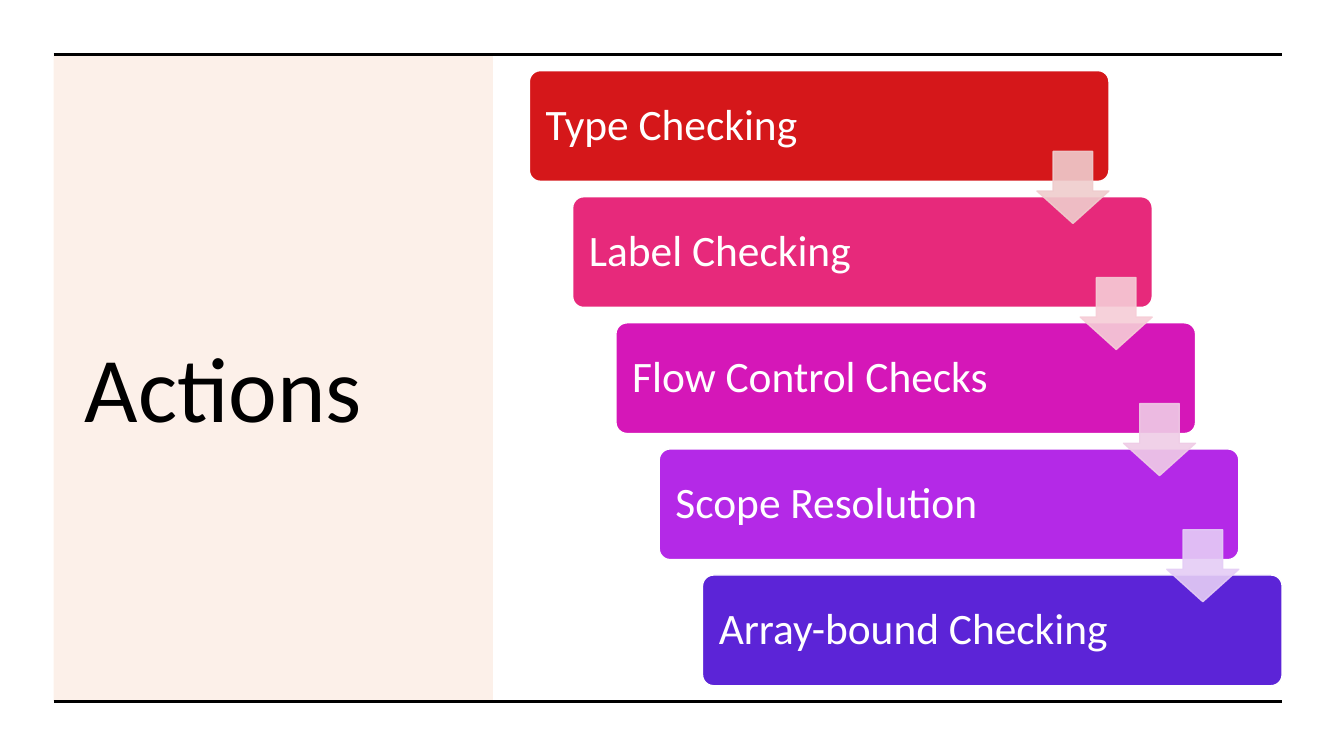
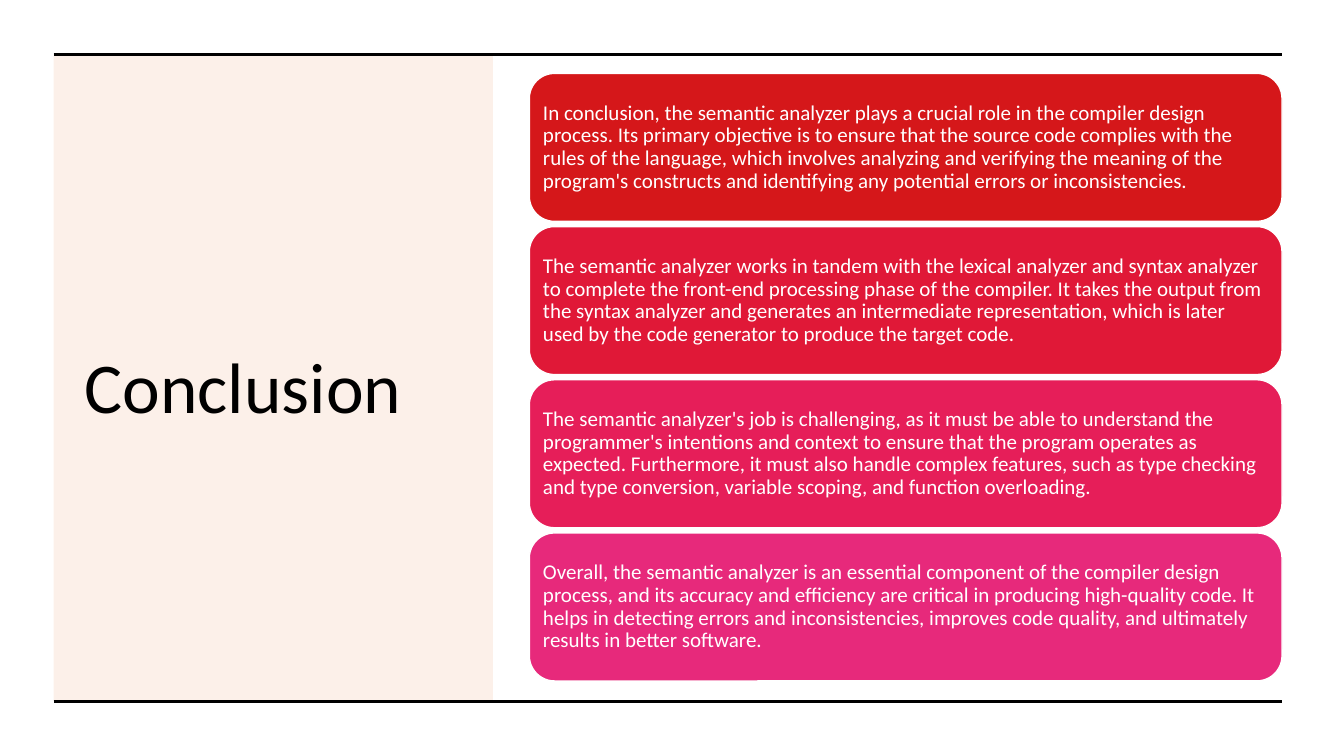
from dataclasses import dataclass

from pptx import Presentation
from pptx.dml.color import RGBColor
from pptx.enum.shapes import MSO_CONNECTOR, MSO_SHAPE
from pptx.enum.text import MSO_ANCHOR, MSO_AUTO_SIZE, PP_ALIGN
from pptx.oxml.ns import qn
from pptx.util import Cm, Pt
from lxml import etree

RECTANGLE = MSO_SHAPE.RECTANGLE
ROUNDED = MSO_SHAPE.ROUNDED_RECTANGLE
DOWN_ARROW = MSO_SHAPE.DOWN_ARROW
STRAIGHT = MSO_CONNECTOR.STRAIGHT
MIDDLE = MSO_ANCHOR.MIDDLE
LEFT = PP_ALIGN.LEFT
NO_AUTOFIT = MSO_AUTO_SIZE.NONE
TITLE_ONLY = 5

FONT = "Calibri"
BLACK = "000000"
WHITE = "FFFFFF"
ORANGE = "E77529"
RED = "D5171A"
PINK = "E7297B"

ACTIONS = [
    ("Type Checking", RED, "EFCCCD"),
    ("Label Checking", PINK, "F6CDD7"),
    ("Flow Control Checks", "D517B8", "EFCCE6"),
    ("Scope Resolution", "B429E7", "E5CDF6"),
    ("Array-bound Checking", "5C24D7", None),
]

CONCLUSIONS = [
    ("In conclusion, the semantic analyzer plays a crucial role in the compiler "
     "design process. Its primary objective is to ensure that the source code "
     "complies with the rules of the language, which involves analyzing and "
     "verifying the meaning of the program's constructs and identifying any "
     "potential errors or inconsistencies.", RED),
    ("The semantic analyzer works in tandem with the lexical analyzer and syntax "
     "analyzer to complete the front-end processing phase of the compiler. It "
     "takes the output from the syntax analyzer and generates an intermediate "
     "representation, which is later used by the code generator to produce the "
     "target code.", "E01837"),
    ("The semantic analyzer's job is challenging, as it must be able to "
     "understand the programmer's intentions and context to ensure that the "
     "program operates as expected. Furthermore, it must also handle complex "
     "features, such as type checking and type conversion, variable scoping, and "
     "function overloading.", "E61E59"),
    ("Overall, the semantic analyzer is an essential component of the compiler "
     "design process, and its accuracy and efficiency are critical in producing "
     "high-quality code. It helps in detecting errors and inconsistencies, "
     "improves code quality, and ultimately results in better software.", PINK),
]


@dataclass
class Box:
    left: float
    top: float
    width: float
    height: float

    def lengths(self):
        return Cm(self.left), Cm(self.top), Cm(self.width), Cm(self.height)


FRAME = Box(1.35, 1.37, 30.96, 16.3)
SIDEBAR = Box(1.35, 1.37, 11.07, 16.3)
TITLE = Box(1.88, 2.72, 9.88, 13.97)
STAIRCASE = Box(13.34, 1.78, 18.97, 15.5)
STACK = Box(13.34, 1.85, 18.97, 15.31)


def paint(target, color, opacity=100):
    target.solid()
    target.fore_color.rgb = RGBColor.from_string(color)
    if opacity < 100:
        for value in target.fore_color._xFill.iter(qn("a:srgbClr")):
            etree.SubElement(value, qn("a:alpha"), val=str(opacity * 1000))


def add_block(slide, kind, box, color, outline=None, opacity=100):
    block = slide.shapes.add_shape(kind, *box.lengths())
    block.shadow.inherit = False
    paint(block.fill, color, opacity)
    if outline:
        paint(block.line.fill, outline, opacity)
        block.line.width = Pt(1)
    else:
        block.line.fill.background()
    return block


def add_card(slide, box, text, color, size, inset, rounding):
    card = add_block(slide, ROUNDED, box, color, WHITE)
    card.adjustments[0] = rounding
    frame = card.text_frame
    frame.word_wrap = True
    frame.vertical_anchor = MIDDLE
    frame.margin_left = frame.margin_right = Cm(inset)
    frame.margin_top = frame.margin_bottom = Cm(inset)
    frame.text = text
    style_paragraph(frame.paragraphs[0], size, WHITE)
    frame.paragraphs[0].line_spacing = 0.9


def style_paragraph(paragraph, size, color):
    paragraph.alignment = LEFT
    paragraph.font.name = FONT
    paragraph.font.size = Pt(size)
    paint(paragraph.font.fill, color)


def add_rule(slide, box, y):
    rule = slide.shapes.add_connector(
        STRAIGHT, Cm(box.left), Cm(y), Cm(box.left + box.width), Cm(y))
    paint(rule.line.fill, BLACK)
    rule.line.width = Pt(2.25)
    etree.SubElement(rule.element.spPr, qn("a:effectLst"))


def add_titled_slide(deck, text, size):
    slide = deck.slides.add_slide(deck.slide_layouts[TITLE_ONLY])
    title = slide.shapes.title
    title.left, title.top, title.width, title.height = TITLE.lengths()
    title.text_frame.text = text
    title.text_frame.word_wrap = True
    title.text_frame.auto_size = NO_AUTOFIT
    title.text_frame.vertical_anchor = MIDDLE
    style_paragraph(title.text_frame.paragraphs[0], size, BLACK)
    sidebar = add_block(slide, RECTANGLE, SIDEBAR, ORANGE, opacity=10)
    title.element.addprevious(sidebar.element)
    for y in (FRAME.top, FRAME.top + FRAME.height):
        add_rule(slide, FRAME, y)
    return slide


def add_staircase(slide, area, steps):
    width, height = 0.77 * area.width, 0.18 * area.height
    shift = (area.width - width) / (len(steps) - 1)
    drop = (area.height - height) / (len(steps) - 1)
    places = [Box(area.left + i * shift, area.top + i * drop, width, height)
              for i in range(len(steps))]
    for place, (text, color, _) in zip(places, steps):
        add_card(slide, place, text, color, 31, 0.33, 0.1)
    side = 0.65 * height
    for place, (_, _, tint) in zip(places, steps):
        if tint:
            spot = Box(place.left + width - side, place.top + 0.73 * height, side, side)
            arrow = add_block(slide, DOWN_ARROW, spot, tint, tint, 90)
            arrow.adjustments[0] = 0.55
            arrow.adjustments[1] = 0.45


def add_stack(slide, area, statements, gap=0.13):
    pitch = (area.height + gap) / len(statements)
    for i, (text, color) in enumerate(statements):
        place = Box(area.left, area.top + i * pitch, area.width, pitch - gap)
        add_card(slide, place, text, color, 15, 0.16, 0.17)


def main():
    deck = Presentation()
    deck.slide_width, deck.slide_height = Cm(33.87), Cm(19.05)
    add_staircase(add_titled_slide(deck, "Actions", 66), STAIRCASE, ACTIONS)
    add_stack(add_titled_slide(deck, "Conclusion", 51), STACK, CONCLUSIONS)
    deck.save("out.pptx")


if __name__ == "__main__":
    main()
